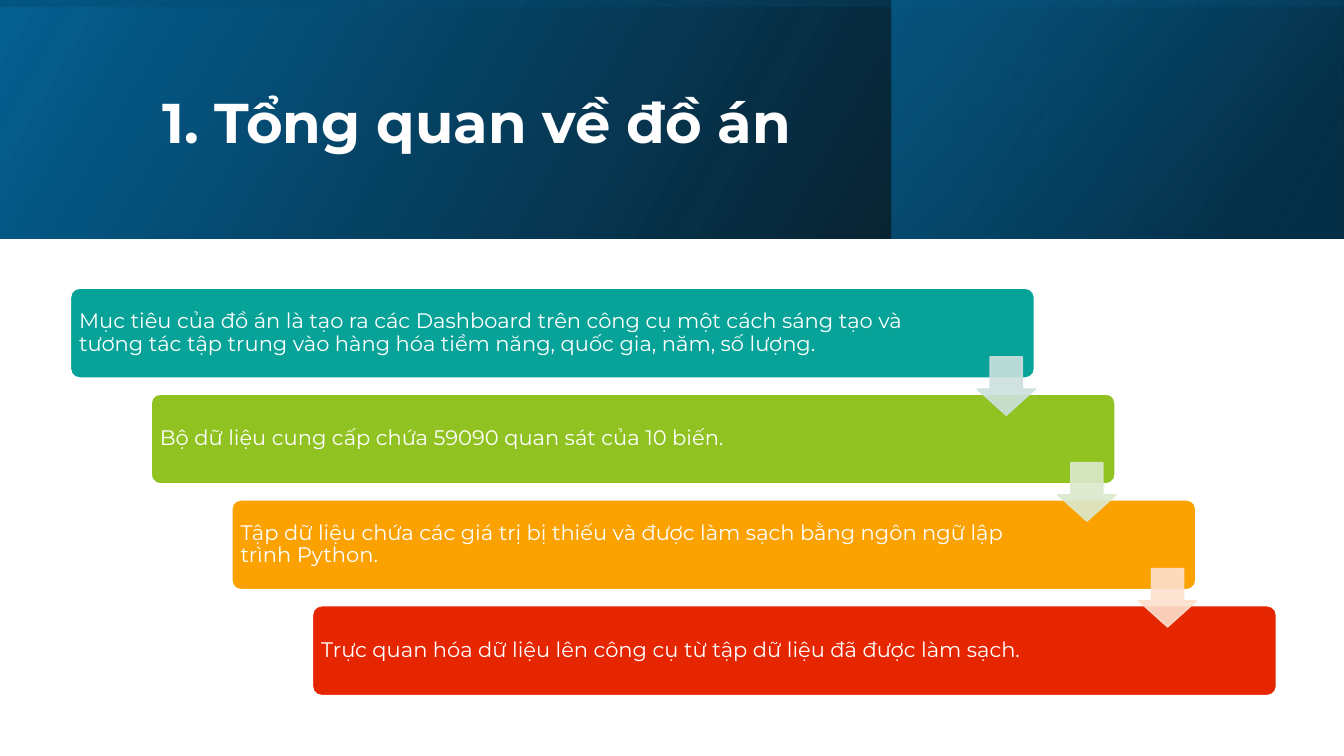
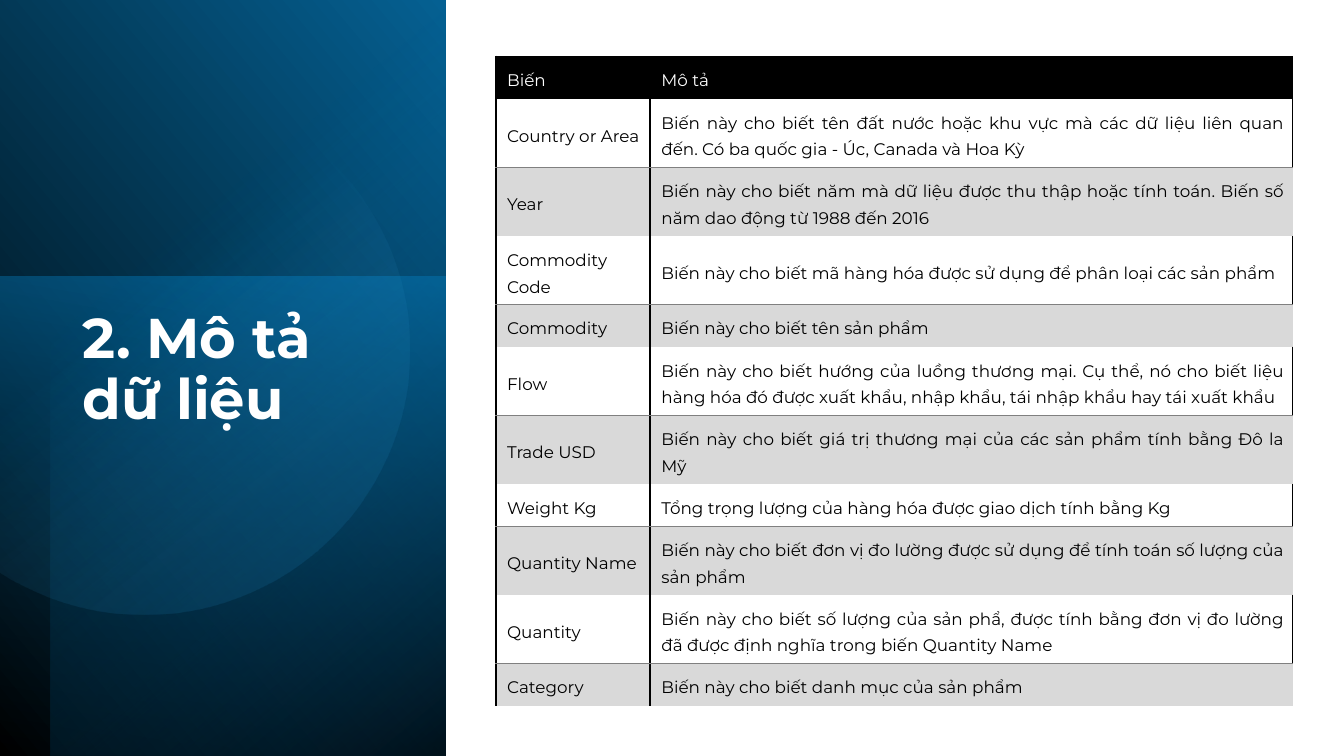
"""Build two slides: a project overview and a data dictionary."""
import dataclasses
import math

import lxml.etree
import pptx
import pptx.dml.color
import pptx.enum.shapes
import pptx.enum.text
import pptx.oxml
import pptx.oxml.ns
import pptx.util

Inches = pptx.util.Inches
Pt = pptx.util.Pt
RGB = pptx.dml.color.RGBColor.from_string
SHAPE = pptx.enum.shapes.MSO_SHAPE
ANCHOR = pptx.enum.text.MSO_ANCHOR
ALIGN = pptx.enum.text.PP_ALIGN
qn = pptx.oxml.ns.qn


@dataclasses.dataclass(frozen=True)
class Theme:
    font: str = "Montserrat"
    title_size: int = 40
    card_size: int = 15
    table_size: int = 12
    white: str = "FFFFFF"
    black: str = "000000"
    blue: str = "056092"
    bright: str = "0680C3"
    deep: str = "034062"
    sky: str = "4BBCF9"
    shade: str = "D9D9D9"
    rule: str = "808080"


T = Theme()


def write(tf, text, size, color=T.white, bold=False, align=ALIGN.LEFT, spacing=0.9):
    p = tf.paragraphs[0]
    p.alignment = align
    p.line_spacing = spacing
    r = p.add_run()
    r.text = text
    r.font.name = T.font
    r.font.size = Pt(size)
    r.font.bold = bold
    r.font.color.rgb = RGB(color)


def paint(sp, stops, angle):
    sp.shadow.inherit = False
    sp.line.fill.background()
    sp.fill.background()
    marks = "".join(
        f'<a:gs pos="{pos * 1000}"><a:srgbClr val="{color}">'
        f'<a:alpha val="{alpha * 1000}"/></a:srgbClr></a:gs>'
        for pos, color, alpha in stops)
    grad = pptx.oxml.parse_xml(
        f'<a:gradFill {pptx.oxml.ns.nsdecls("a")} rotWithShape="1"><a:gsLst>{marks}</a:gsLst>'
        f'<a:lin ang="{angle * 60000}" scaled="0"/></a:gradFill>')
    spPr = sp.element.spPr
    spPr.replace(spPr.find(qn("a:noFill")), grad)


prs = pptx.Presentation()
prs.slide_width = Inches(13.33)
prs.slide_height = Inches(7.5)

pages = [
    {
        "title": "1. Tổng quan về đồ án",
        "box": (1.51, 0.38, 10.63, 1.72),
        "anchor": ANCHOR.MIDDLE,
        "panels": [
            ((0, 0, 13.33, 2.37), 0, True, [(0, T.black, 96), (100, T.blue, 100)], 330),
            ((8.84, 0, 4.48, 2.37), 0, True, [(19, T.deep, 68), (100, T.bright, 48)], 320),
            ((5.48, -5.48, 2.37, 13.33), 270, True, [(23, T.blue, 16), (99, T.black, 45)], 350),
        ],
    },
    {
        "title": "2. Mô tả dữ liệu",
        "box": (0.72, 3.03, 3.15, 3.36),
        "anchor": ANCHOR.TOP,
        "panels": [
            ((-1.55, 1.55, 7.52, 4.42), 90, True, [(0, T.black, 100), (100, T.blue, 100)], 310),
            ((-0.17, 2.91, 4.76, 4.42), 270, False, [(0, T.bright, 50), (100, T.deep, 0)], 190),
            ((-1.29, 1.79, 7.5, 3.92), 270, True, [(0, T.black, 59), (69, T.bright, 0)], 220),
        ],
    },
]

slides = []
for page in pages:
    s = prs.slides.add_slide(prs.slide_layouts[6])
    slides.append(s)
    for box, rotation, flipped, stops, angle in page["panels"]:
        sp = s.shapes.add_shape(SHAPE.RECTANGLE, *map(Inches, box))
        sp.rotation = rotation
        if flipped:
            sp.element.spPr.get_or_add_xfrm().set("flipH", "1")
        paint(sp, stops, angle)
overview, dictionary = slides

cx, cy, radius = 1.43, 3.47, 2.63
arc = [(Inches(max(0, cx + radius * math.cos(math.radians(a)))),
        Inches(cy + radius * math.sin(math.radians(a)))) for a in range(-123, 124, 3)]
fb = dictionary.shapes.build_freeform(*arc[0])
fb.add_line_segments(arc[1:], close=True)
paint(fb.convert_to_shape(), [(39, T.sky, 0), (100, T.blue, 26)], 52)

for s, page in zip(slides, pages):
    tf = s.shapes.add_textbox(*map(Inches, page["box"])).text_frame
    tf.word_wrap = True
    tf.vertical_anchor = page["anchor"]
    write(tf, page["title"], T.title_size, bold=True)

cards = [
    ("07A398", 1.03, "Mục tiêu của đồ án là tạo ra các Dashboard trên công cụ một cách sáng tạo và "
     "tương tác tập trung vào hàng hóa tiềm năng, quốc gia, năm, số lượng."),
    ("90C221", 1.43, "Bộ dữ liệu cung cấp chứa 59090 quan sát của 10 biến."),
    ("FBA200", 1.43, "Tập dữ liệu chứa các giá trị bị thiếu và được làm sạch bằng ngôn ngữ lập "
     "trình Python."),
    ("E62601", 1.43, "Trực quan hóa dữ liệu lên công cụ từ tập dữ liệu đã được làm sạch."),
]
step_x, step_y = 0.8, 1.05
for i, (color, right, text) in enumerate(cards):
    sp = overview.shapes.add_shape(
        SHAPE.ROUNDED_RECTANGLE, Inches(0.7 + i * step_x), Inches(2.86 + i * step_y),
        Inches(9.56), Inches(0.89))
    sp.adjustments[0] = 0.1
    sp.shadow.inherit = False
    sp.fill.solid()
    sp.fill.fore_color.rgb = RGB(color)
    sp.line.color.rgb = RGB(T.white)
    sp.line.width = Pt(1)
    tf = sp.text_frame
    tf.word_wrap = True
    tf.vertical_anchor = ANCHOR.MIDDLE
    tf.margin_left = tf.margin_top = tf.margin_bottom = Inches(0.06)
    tf.margin_right = Inches(right)
    write(tf, text, T.card_size)

for i, color in enumerate(["CCE0DD", "DBE9CD", "FDE0CC"]):
    sp = overview.shapes.add_shape(
        SHAPE.DOWN_ARROW, Inches(9.69 + i * step_x), Inches(3.54 + i * step_y),
        Inches(0.58), Inches(0.58))
    sp.adjustments[0] = 0.55
    sp.adjustments[1] = 0.45
    sp.shadow.inherit = False
    sp.fill.solid()
    sp.fill.fore_color.rgb = RGB(color)
    sp.line.color.rgb = RGB(color)
    sp.line.width = Pt(1)
    for clr in sp.element.spPr.iter(qn("a:srgbClr")):
        lxml.etree.SubElement(clr, qn("a:alpha")).set("val", "90000")

rows = [
    ("Biến", "Mô tả"),
    ("Country or Area", "Biến này cho biết tên đất nước hoặc khu vực mà các dữ liệu liên quan đến. "
     "Có ba quốc gia - Úc, Canada và Hoa Kỳ"),
    ("Year", "Biến này cho biết năm mà dữ liệu được thu thập hoặc tính toán. "
     "Biến số năm dao động từ 1988 đến 2016"),
    ("Commodity Code", "Biến này cho biết mã hàng hóa được sử dụng để phân loại các sản phẩm"),
    ("Commodity", "Biến này cho biết tên sản phẩm"),
    ("Flow", "Biến này cho biết hướng của luồng thương mại. Cụ thể, nó cho biết liệu hàng hóa đó "
     "được xuất khẩu, nhập khẩu, tái nhập khẩu hay tái xuất khẩu"),
    ("Trade USD", "Biến này cho biết giá trị thương mại của các sản phẩm tính bằng Đô la Mỹ"),
    ("Weight Kg", "Tổng trọng lượng của hàng hóa được giao dịch tính bằng Kg"),
    ("Quantity Name", "Biến này cho biết đơn vị đo lường được sử dụng để tính toán số lượng của "
     "sản phẩm"),
    ("Quantity", "Biến này cho biết số lượng của sản phẩ, được tính bằng đơn vị đo lường đã được "
     "định nghĩa trong biến Quantity Name"),
    ("Category", "Biến này cho biết danh mục của sản phẩm"),
]
one_line_rows = (0, 4, 7, 10)
thick, thin = (T.black, 1.5), (T.rule, 0.5)
header_edges = [{"L": thick, "T": thick}, {"T": thick}]
plain_edges = [{"L": thick, "R": thick, "B": thin}] * 2
shaded_edges = [{"L": thick, "R": thick, "T": thin}, {"L": thick, "T": thin}]

table = dictionary.shapes.add_table(
    len(rows), 2, Inches(4.92), Inches(0.56), Inches(7.9), Inches(6.37)).table
table.horz_banding = False
table.columns[0].width = Inches(1.53)
table.columns[1].width = Inches(6.37)
for i, row in enumerate(rows):
    table.rows[i].height = Inches(0.42 if i in one_line_rows else 0.67)
    if i == 0:
        fill, color, edges = T.black, T.white, header_edges
    elif i % 2:
        fill, color, edges = T.white, T.black, plain_edges
    else:
        fill, color, edges = T.shade, T.black, shaded_edges
    for j, text in enumerate(row):
        cell = table.cell(i, j)
        cell.vertical_anchor = ANCHOR.MIDDLE
        cell.margin_left = Inches(0.11)
        cell.margin_top = cell.margin_right = cell.margin_bottom = Inches(0.08)
        tcPr = cell._tc.get_or_add_tcPr()
        for side in "LRTB":
            ln = lxml.etree.SubElement(tcPr, qn(f"a:ln{side}"))
            if side in edges[j]:
                line_color, width = edges[j][side]
                ln.set("w", str(Pt(width)))
                solid = lxml.etree.SubElement(ln, qn("a:solidFill"))
                lxml.etree.SubElement(solid, qn("a:srgbClr")).set("val", line_color)
            else:
                lxml.etree.SubElement(ln, qn("a:noFill"))
        cell.fill.solid()
        cell.fill.fore_color.rgb = RGB(fill)
        align = ALIGN.JUSTIFY if i and j else ALIGN.LEFT
        write(cell.text_frame, text, T.table_size, color, align=align, spacing=1.3)

prs.save("out.pptx")
